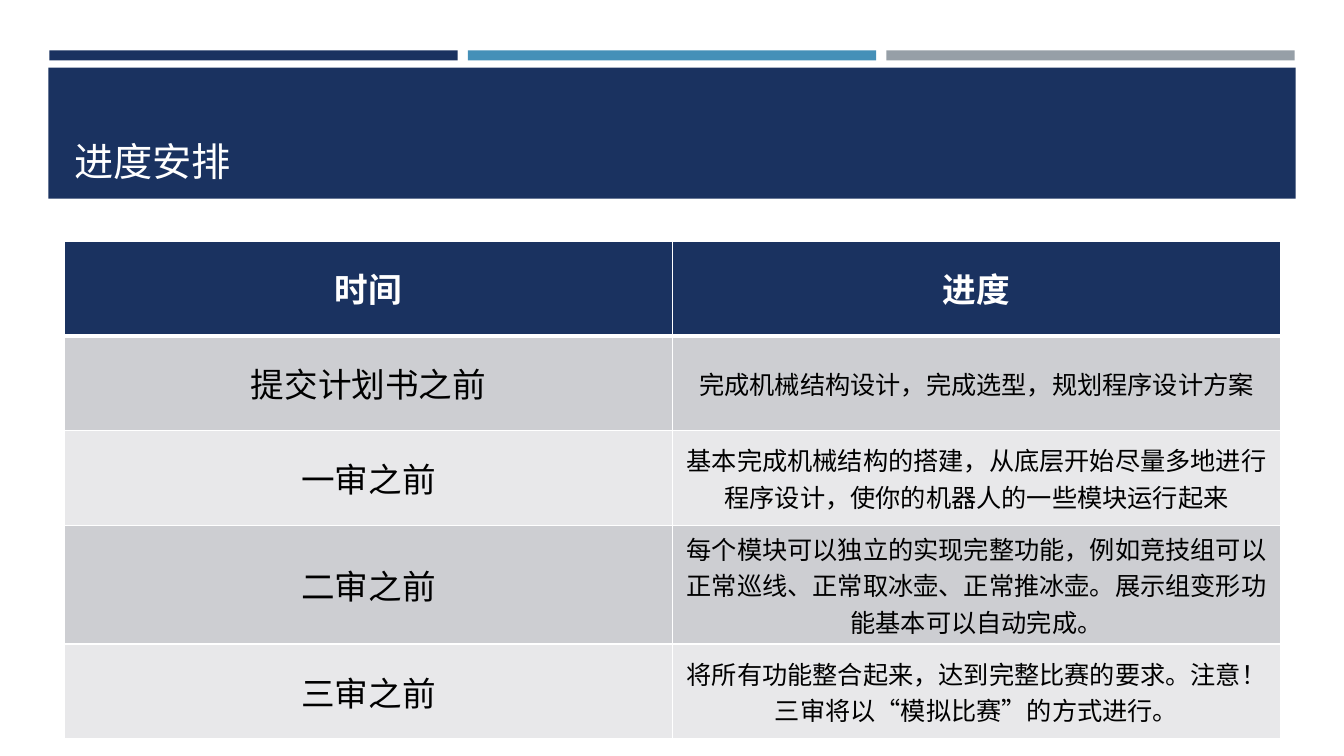
from dataclasses import dataclass

from lxml.etree import SubElement
from pptx import Presentation
from pptx.dml.color import RGBColor
from pptx.enum.shapes import MSO_SHAPE
from pptx.enum.text import MSO_ANCHOR, PP_ALIGN
from pptx.oxml.ns import qn
from pptx.slide import Slide
from pptx.table import _Cell
from pptx.text.text import TextFrame
from pptx.util import Emu, Pt

EMU_PER_PX = 9144
COLORS = {
    "navy": "1A3260",
    "blue": "4590B8",
    "grey": "969FA7",
    "white": "FFFFFF",
    "black": "000000",
    "dark_band": "CDCED2",
    "light_band": "E8E8EA",
}
CJK_FONT = "Noto Sans CJK SC"
TABLE_FONT = "Calibri"


@dataclass(frozen=True)
class Bar:
    left: int
    top: int
    width: int
    height: int
    color: str


@dataclass(frozen=True)
class Stage:
    time: str
    progress: str
    height: int = 94


BARS = [
    Bar(49 + 415 * index, 50, 405, 10, color)
    for index, color in enumerate(("navy", "blue", "grey"))
]
TITLE_BAND = Bar(48, 67, 1237, 130, "navy")

HEADER = Stage("时间", "进度")
STAGES = [
    Stage("提交计划书之前", "完成机械结构设计，完成选型，规划程序设计方案"),
    Stage("一审之前", "基本完成机械结构的搭建，从底层开始尽量多地进行程序设计，使你的机器人的一些模块运行起来"),
    Stage("二审之前", "每个模块可以独立的实现完整功能，例如竞技组可以正常巡线、正常取冰壶、正常推冰壶。展示组变形功能基本可以自动完成。", 118),
    Stage("三审之前", "将所有功能整合起来，达到完整比赛的要求。注意！三审将以“模拟比赛”的方式进行。"),
]


def px(length: int) -> Emu:
    return Emu(length * EMU_PER_PX)


def rgb(color: str) -> RGBColor:
    return RGBColor.from_string(COLORS[color])


def write(frame: TextFrame, text: str, *, size: int, color: str, font: str,
          bold: bool = False, align: PP_ALIGN = PP_ALIGN.LEFT) -> None:
    frame.word_wrap = True
    paragraph = frame.paragraphs[0]
    paragraph.alignment = align
    run = paragraph.add_run()
    run.text = text
    run.font.size = Pt(size)
    run.font.bold = bold
    run.font.color.rgb = rgb(color)
    run.font.name = font
    properties = run.font._element
    properties.set("lang", "zh-CN")
    SubElement(properties, qn("a:ea"), typeface=CJK_FONT)


def draw_bar(slide: Slide, bar: Bar) -> None:
    shape = slide.shapes.add_shape(
        MSO_SHAPE.RECTANGLE, px(bar.left), px(bar.top), px(bar.width), px(bar.height))
    shape.shadow.inherit = False
    shape.fill.solid()
    shape.fill.fore_color.rgb = rgb(bar.color)
    shape.line.fill.background()


def draw_title(slide: Slide, text: str) -> None:
    title = slide.shapes.add_textbox(px(64), px(77), px(1206), px(111))
    title.text_frame.vertical_anchor = MSO_ANCHOR.BOTTOM
    write(title.text_frame, text, size=28, color="white", font=CJK_FONT)


def set_borders(cell: _Cell, top: int, bottom: int) -> None:
    properties = cell._tc.get_or_add_tcPr()
    for side, width in (("L", 1), ("R", 1), ("T", top), ("B", bottom)):
        line = SubElement(properties, qn(f"a:ln{side}"), w=str(Pt(width)))
        fill = SubElement(line, qn("a:solidFill"))
        SubElement(fill, qn("a:srgbClr"), val=COLORS["white"])


def draw_schedule(slide: Slide) -> None:
    stages = [HEADER, *STAGES]
    schedule = slide.shapes.add_table(
        len(stages), 2, px(64), px(239), px(1206),
        px(sum(stage.height for stage in stages))).table
    for row, stage in enumerate(stages):
        schedule.rows[row].height = px(stage.height)
        is_header = row == 0
        band = "navy" if is_header else ("light_band", "dark_band")[row % 2]
        for column, text in enumerate((stage.time, stage.progress)):
            cell = schedule.cell(row, column)
            set_borders(cell, top=3 if row == 1 else 1, bottom=3 if is_header else 1)
            cell.fill.solid()
            cell.fill.fore_color.rgb = rgb(band)
            cell.vertical_anchor = MSO_ANCHOR.MIDDLE
            write(cell.text_frame, text,
                  size=24 if is_header or column == 0 else 18,
                  color="white" if is_header else "black",
                  font=TABLE_FONT, bold=is_header, align=PP_ALIGN.CENTER)


def main() -> None:
    presentation = Presentation()
    presentation.slide_width = px(1333)
    presentation.slide_height = px(750)
    slide = presentation.slides.add_slide(presentation.slide_layouts[6])
    for bar in [*BARS, TITLE_BAND]:
        draw_bar(slide, bar)
    draw_title(slide, "进度安排")
    draw_schedule(slide)
    presentation.save("out.pptx")


if __name__ == "__main__":
    main()
